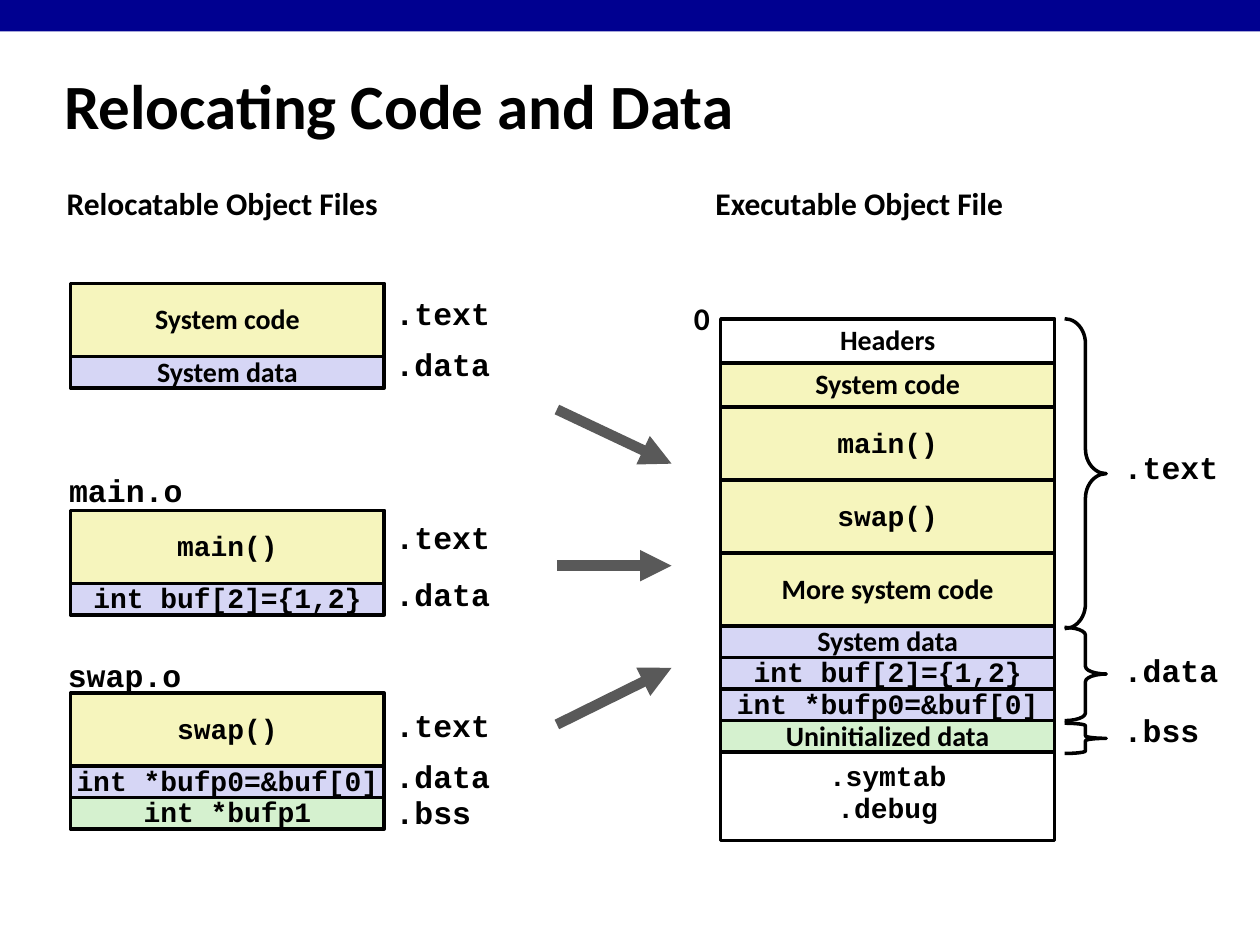
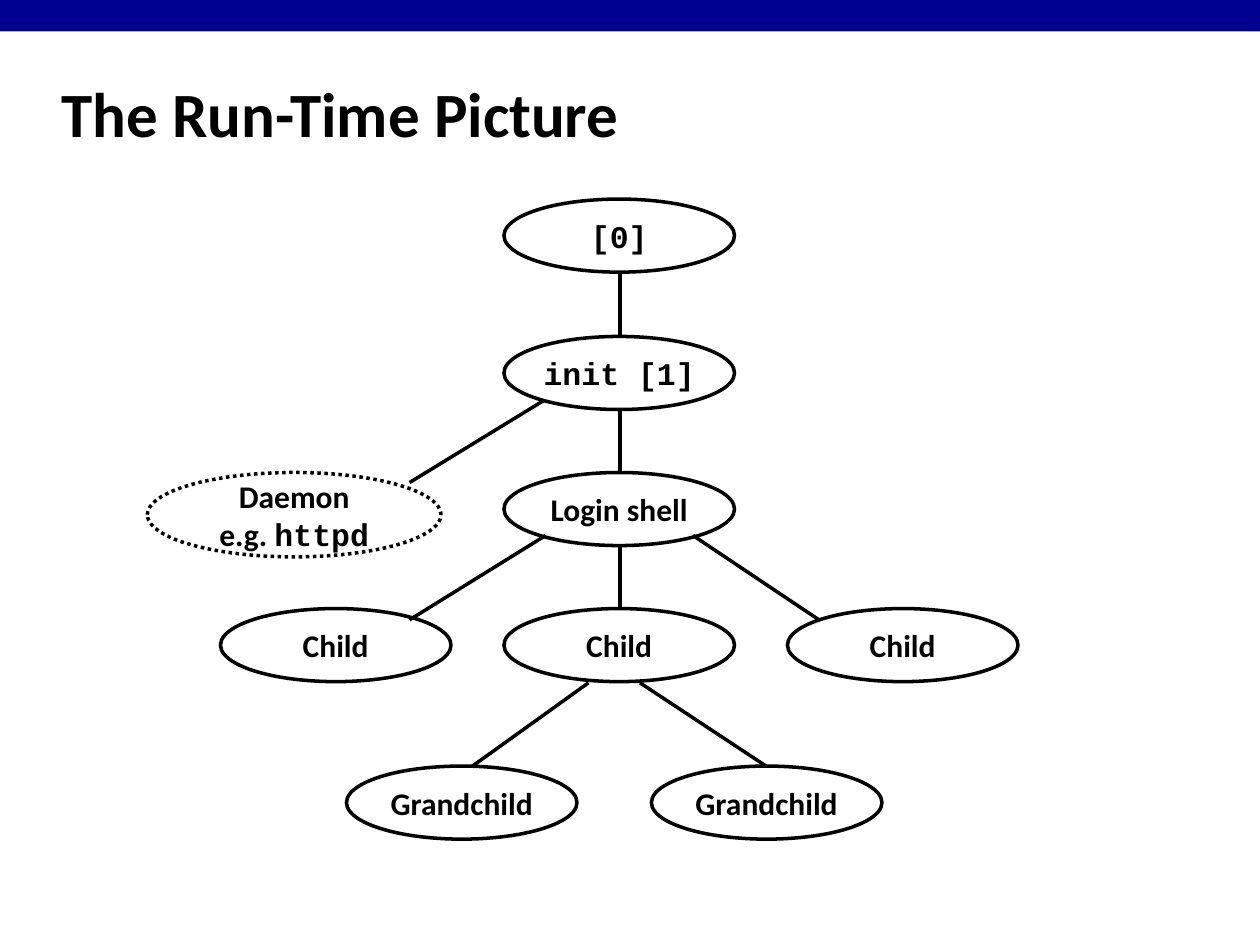
from dataclasses import dataclass

from lxml import etree
from pptx import Presentation
from pptx.dml.color import RGBColor
from pptx.enum.dml import MSO_LINE
from pptx.enum.shapes import MSO_CONNECTOR, MSO_SHAPE
from pptx.enum.text import MSO_ANCHOR, MSO_AUTO_SIZE, PP_ALIGN
from pptx.oxml.ns import qn
from pptx.util import Inches, Pt

RECTANGLE, ELLIPSE, BRACE = MSO_SHAPE.RECTANGLE, MSO_SHAPE.OVAL, MSO_SHAPE.RIGHT_BRACE
STRAIGHT = MSO_CONNECTOR.STRAIGHT
DOTTED = MSO_LINE.ROUND_DOT
LEFT, CENTER = PP_ALIGN.LEFT, PP_ALIGN.CENTER
TOP, MIDDLE = MSO_ANCHOR.TOP, MSO_ANCHOR.MIDDLE
NO_AUTOFIT = MSO_AUTO_SIZE.NONE
TITLE_ONLY = 5


@dataclass(frozen=True)
class Theme:
    band: str = "000090"
    ink: str = "000000"
    paper: str = "FFFFFF"
    code: str = "F6F5BD"
    data: str = "D6D6F5"
    bss: str = "D5F1CF"
    arrow: str = "595959"
    body_font: str = "Calibri"
    code_font: str = "Courier New"
    title_size: int = 36
    label_size: int = 18
    section_size: int = 16
    line_width: int = 2
    arrow_width: int = 6
    body_spacing: float = 0.98
    code_spacing: float = 0.94


THEME = Theme()

OBJECT_LEFT, OBJECT_WIDTH = 0.56, 2.49
EXECUTABLE_LEFT, EXECUTABLE_WIDTH = 5.72, 2.65
TALL, MEDIUM, SHORT = 0.58, 0.35, 0.25
OBJECT_LABEL_LEFT, EXECUTABLE_LABEL_LEFT = 3.04, 8.82

OBJECT_FILES = [
    (2.25, [("System code", TALL, THEME.code), ("System data", SHORT, THEME.data)]),
    (4.05, [("`main()`", TALL, THEME.code), ("`int buf[2]={1,2}`", SHORT, THEME.data)]),
    (5.5, [("`swap()`", TALL, THEME.code), ("`int *bufp0=&buf[0]`", SHORT, THEME.data),
           ("`int *bufp1`", SHORT, THEME.bss)]),
]
EXECUTABLE = [
    ("Headers", MEDIUM, THEME.paper),
    ("System code", MEDIUM, THEME.code),
    ("`main()`", TALL, THEME.code),
    ("`swap()`", TALL, THEME.code),
    ("More system code", TALL, THEME.code),
    ("System data", SHORT, THEME.data),
    ("`int buf[2]={1,2}`", SHORT, THEME.data),
    ("`int *bufp0=&buf[0]`", SHORT, THEME.data),
    ("Uninitialized data", SHORT, THEME.bss),
]
LABELS = [
    ("Relocatable Object Files", 0.43, 1.43, 3.53),
    ("Executable Object File", 5.58, 1.43, 3.28),
    ("0", 5.41, 2.34, 0.34),
    ("`main.o`", 0.45, 3.71, 1.1),
    ("`swap.o`", 0.44, 5.18, 1.1),
]
OBJECT_LABELS = [
    ("`.text`", 2.31), ("`.data`", 2.71),
    ("`.text`", 4.09), ("`.data`", 4.54),
    ("`.text`", 5.58), ("`.data`", 5.98), ("`.bss`", 6.27),
]
EXECUTABLE_LABELS = [("`.text`", 3.53), ("`.data`", 5.14), ("`.bss`", 5.62)]
BRACES = [(2.53, 2.46, 0.598), (4.98, 0.74, 0.185), (5.74, 0.24, 0.083)]
ARROWS = [(3.25, 3.68), (4.49, 4.49), (5.75, 5.3)]

NODE_WIDTH, NODE_HEIGHT = 1.83, 0.58
TRUNK_LEFT, CHILD_STEP = 4, 2.25
ROOT_TOP, INIT_TOP, SHELL_TOP, CHILD_TOP, GRANDCHILD_TOP = 1.58, 2.67, 3.75, 4.83, 6.08
TRUNK_CENTER = 4.92
BRANCHES = [
    (4.33, 3.17, 3.25, 3.83),
    (4.33, 4.25, 3.25, 4.92),
    (5.5, 4.25, 6.5, 4.92),
    (4.67, 5.42, 3.75, 6.08),
    (5.08, 5.42, 6.08, 6.08),
]


def color(value):
    return RGBColor.from_string(value)


def write_text(shape, text, size=THEME.label_size, align=CENTER, anchor=MIDDLE,
               wrap=False, tight=False):
    """Write lines of text; parts between backticks use the code font."""
    frame = shape.text_frame
    frame.word_wrap = wrap
    frame.auto_size = NO_AUTOFIT
    frame.vertical_anchor = anchor
    for index, line in enumerate(text.split("\n")):
        paragraph = frame.add_paragraph() if index else frame.paragraphs[0]
        paragraph.alignment = align
        if tight:
            paragraph.line_spacing = THEME.code_spacing if "`" in line else THEME.body_spacing
        for position, part in enumerate(line.split("`")):
            if part:
                run = paragraph.add_run()
                run.text = part
                run.font.name = THEME.code_font if position % 2 else THEME.body_font
                run.font.size = Pt(size)
                run.font.bold = True
                run.font.color.rgb = color(THEME.ink)


def add_box(slide, kind, left, top, width, height, fill=None, outline=THEME.ink):
    shape = slide.shapes.add_shape(kind, Inches(left), Inches(top), Inches(width), Inches(height))
    shape.shadow.inherit = False
    if fill:
        shape.fill.solid()
        shape.fill.fore_color.rgb = color(fill)
    else:
        shape.fill.background()
    if outline:
        shape.line.color.rgb = color(outline)
        shape.line.width = Pt(THEME.line_width)
    else:
        shape.line.fill.background()
    return shape


def add_titled_slide(presentation, title, left, top, width, height):
    slide = presentation.slides.add_slide(presentation.slide_layouts[TITLE_ONLY])
    add_box(slide, RECTANGLE, 0, 0, 10, 0.25, fill=THEME.band, outline=None)
    placeholder = slide.shapes.title
    placeholder.left, placeholder.top = Inches(left), Inches(top)
    placeholder.width, placeholder.height = Inches(width), Inches(height)
    write_text(placeholder, title, size=THEME.title_size, align=LEFT, wrap=True)
    return slide


def add_label(slide, text, left, top, width=0.95):
    label = slide.shapes.add_textbox(Inches(left), Inches(top), Inches(width), Inches(0.39))
    label.text_frame.margin_right = 0
    write_text(label, text, align=LEFT, anchor=TOP, wrap=True, tight=True)


def add_section(slide, text, left, top, width, height, fill):
    section = add_box(slide, RECTANGLE, left, top, width, height, fill=fill)
    write_text(section, text, size=THEME.section_size, tight=True)


def add_stack(slide, left, top, width, sections):
    for text, height, fill in sections:
        add_section(slide, text, left, top, width, height, fill)
        top += height


def add_line(slide, start_x, start_y, end_x, end_y, stroke=THEME.ink,
             width=THEME.line_width, arrow=False):
    line = slide.shapes.add_connector(
        STRAIGHT, Inches(start_x), Inches(start_y), Inches(end_x), Inches(end_y))
    line.line.color.rgb = color(stroke)
    line.line.width = Pt(width)
    if arrow:
        etree.SubElement(line.line._get_or_add_ln(), qn("a:tailEnd"), type="triangle")
    etree.SubElement(line._element.spPr, qn("a:effectLst"))


def add_node(slide, text, left, top, width=NODE_WIDTH, height=NODE_HEIGHT):
    node = add_box(slide, ELLIPSE, left, top, width, height, fill=THEME.paper)
    write_text(node, text)
    return node


def build_relocation_slide(presentation):
    slide = add_titled_slide(presentation, "Relocating Code and Data", 0.41, 0.51, 8.31, 0.63)
    for top, sections in OBJECT_FILES:
        add_stack(slide, OBJECT_LEFT, top, OBJECT_WIDTH, sections)
    add_section(slide, "`.symtab`\n`.debug`", EXECUTABLE_LEFT, 5.92, EXECUTABLE_WIDTH, 0.75,
                THEME.paper)
    add_stack(slide, EXECUTABLE_LEFT, 2.53, EXECUTABLE_WIDTH, EXECUTABLE)
    for label in LABELS:
        add_label(slide, *label)
    for text, top in OBJECT_LABELS:
        add_label(slide, text, OBJECT_LABEL_LEFT, top)
    for text, top in EXECUTABLE_LABELS:
        add_label(slide, text, EXECUTABLE_LABEL_LEFT, top)
    for top, height, curve in BRACES:
        brace = add_box(slide, BRACE, 8.45, top, 0.33, height)
        brace.adjustments[0] = curve
    for start_y, end_y in ARROWS:
        add_line(slide, 4.42, start_y, 5.33, end_y, stroke=THEME.arrow,
                 width=THEME.arrow_width, arrow=True)


def build_process_tree_slide(presentation):
    slide = add_titled_slide(presentation, "The Run-Time Picture", 0.39, 0.48, 8.3, 0.83)
    add_node(slide, "`[0]`", TRUNK_LEFT, ROOT_TOP)
    add_node(slide, "Login shell", TRUNK_LEFT, SHELL_TOP)
    for column in (-1, 0, 1):
        add_node(slide, "Child", TRUNK_LEFT + column * CHILD_STEP, CHILD_TOP)
    for left in (2.75, 5.17):
        add_node(slide, "Grandchild", left, GRANDCHILD_TOP)
    for top in (INIT_TOP, SHELL_TOP, CHILD_TOP):
        add_line(slide, TRUNK_CENTER, top - 0.5, TRUNK_CENTER, top)
    for branch in BRANCHES:
        add_line(slide, *branch)
    add_node(slide, "`init [1]`", TRUNK_LEFT, INIT_TOP)
    daemon = add_node(slide, "Daemon\ne.g. `httpd`", 1.17, SHELL_TOP, 2.33, 0.67)
    daemon.line.dash_style = DOTTED


def main():
    presentation = Presentation()
    presentation.slide_width, presentation.slide_height = Inches(10), Inches(7.5)
    build_relocation_slide(presentation)
    build_process_tree_slide(presentation)
    presentation.save("out.pptx")


if __name__ == "__main__":
    main()
